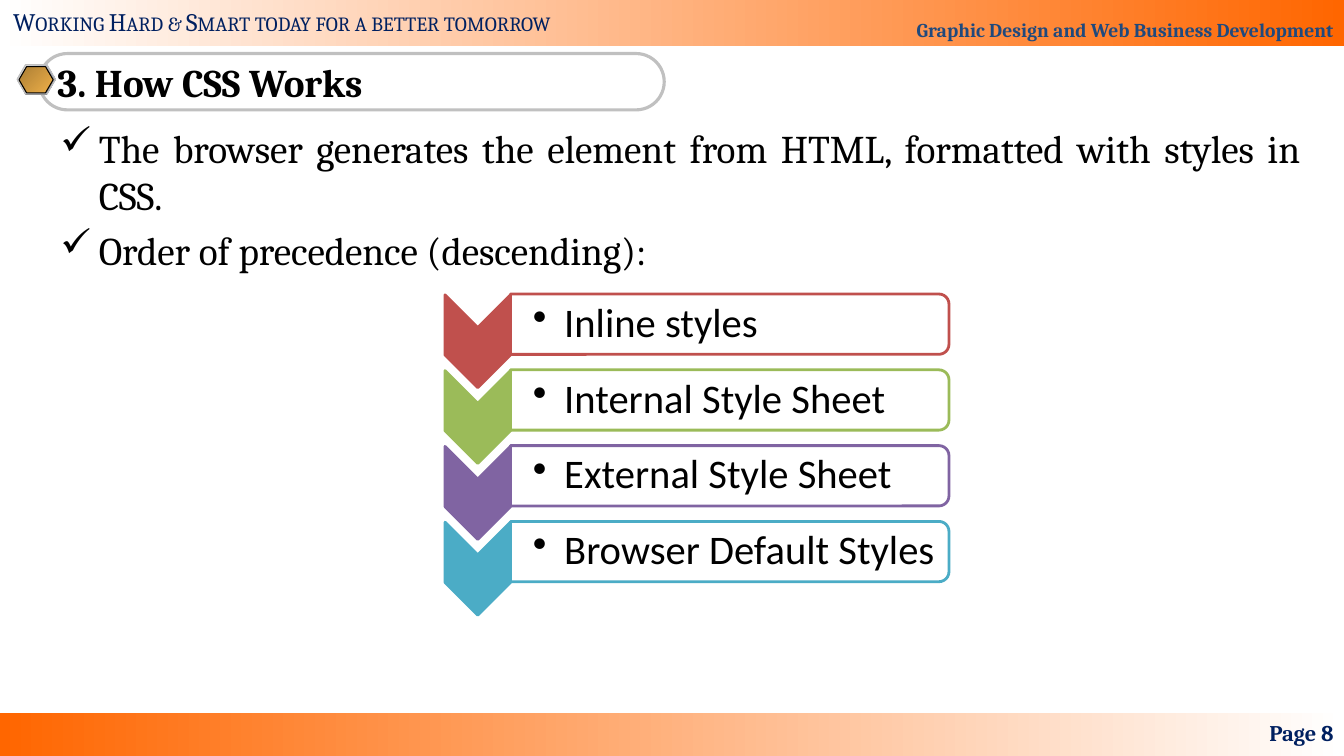
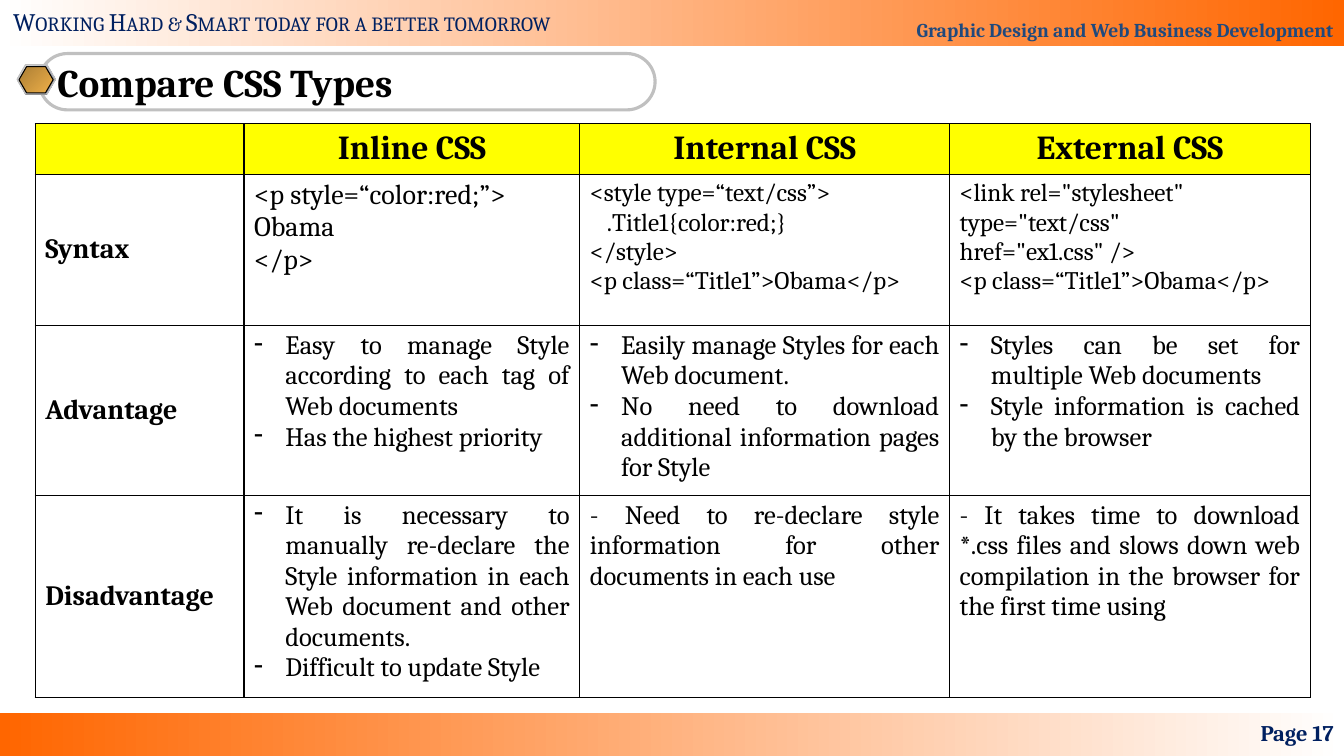
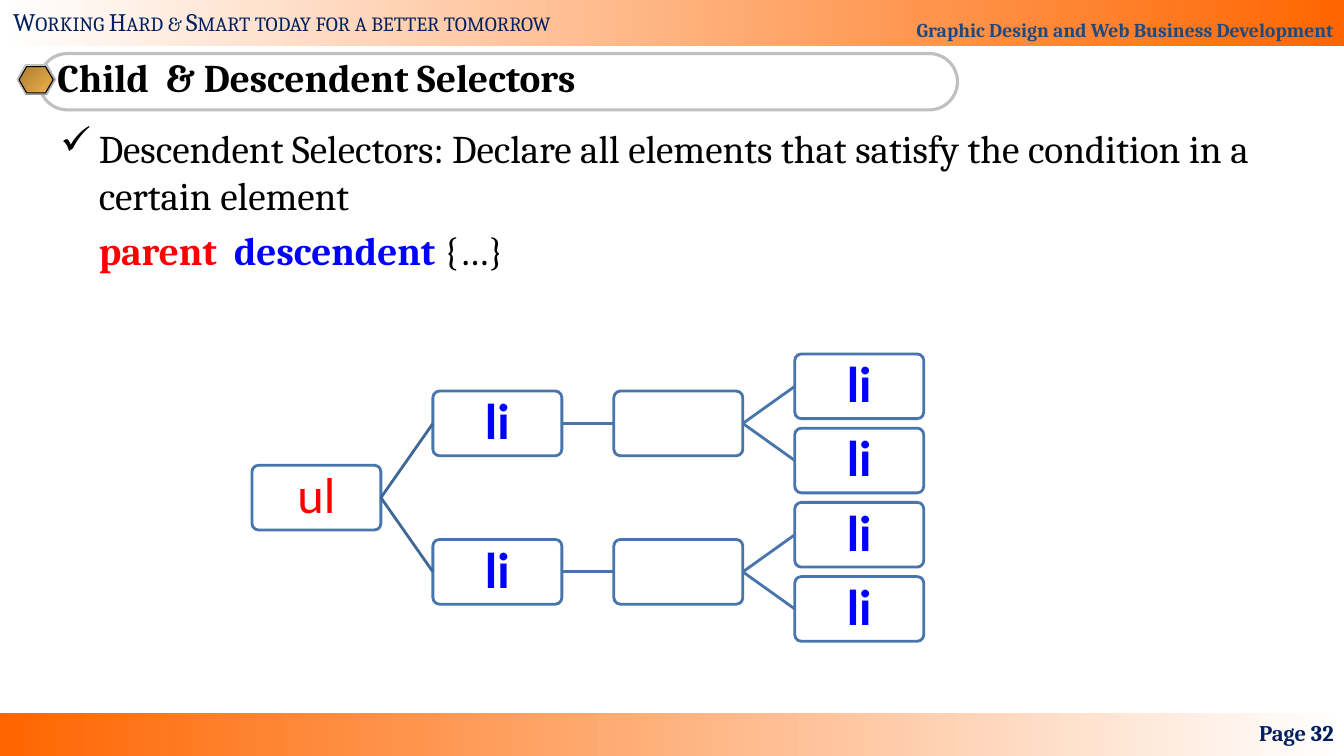
"""Build three slides about how CSS works, its types and its selectors."""
from lxml import etree
from pptx import Presentation, util as u
from pptx.dml.color import RGBColor
from pptx.enum import shapes, text
from pptx.oxml.ns import qn

WHITE = RGBColor(0xFF, 0xFF, 0xFF)
BLACK = RGBColor(0, 0, 0)
ORANGE = RGBColor(0xFF, 0x66, 0x00)
NAVY = RGBColor(0x00, 0x20, 0x60)
STEEL = RGBColor(0x1F, 0x49, 0x7D)
SILVER = RGBColor(0xC0, 0xC0, 0xC0)
PALE = RGBColor(0xE6, 0xE6, 0xE6)
SLATE = RGBColor(0x7D, 0x84, 0x96)
GRAY = RGBColor(0x80, 0x80, 0x80)
BRONZE = RGBColor(0xAB, 0x7E, 0x34)
GOLD = RGBColor(0xEF, 0xB0, 0x49)
YELLOW = RGBColor(0xFF, 0xFF, 0x00)
RED = RGBColor(0xFF, 0x00, 0x00)
BLUE = RGBColor(0x00, 0x00, 0xFF)
NODE_LINE = RGBColor(0x48, 0x75, 0xAC)
ROOT_LINE = RGBColor(0x3F, 0x67, 0x97)

SERIF, SANS = "Cambria", "Calibri"
SHAPE, ALIGN, ANCHOR = shapes.MSO_SHAPE, text.PP_ALIGN, text.MSO_ANCHOR
WIDTH, HEIGHT = 33.87, 19.05
BODY_HANG, CELL_HANG = 0.97, 0.79

COURSE = "Graphic Design and Web Business Development"
SLOGAN = "Working Hard & Smart today for a better tomorrow"

PRECEDENCE_INTRO = [
    "The browser generates the element from HTML, formatted with styles in CSS.",
    "Order of precedence (descending):",
]
PRECEDENCE = [
    ("Inline styles", RGBColor(0xC0, 0x50, 0x4D)),
    ("Internal Style Sheet", RGBColor(0x9B, 0xBB, 0x59)),
    ("External Style Sheet", RGBColor(0x80, 0x64, 0xA2)),
    ("Browser Default Styles", RGBColor(0x4B, 0xAC, 0xC6)),
]

COLUMN_WIDTHS = [5.26, 8.46, 9.32, 9.09]
ROW_HEIGHTS = [1.26, 3.81, 4.28, 5.1]
TYPES = ["Inline CSS", "Internal CSS", "External CSS"]
COMPARISON = [
    ("Syntax", ALIGN.LEFT, [
        (20, "", ["<p style=“color:red;”>", "Obama", "</p>"]),
        (18, "", ["<style type=“text/css”>", ".Title1{color:red;}", "</style>",
                  "<p class=“Title1”>Obama</p>"]),
        (18, "", ['<link rel="stylesheet" type="text/css" href="ex1.css" />',
                  "<p class=“Title1”>Obama</p>"]),
    ]),
    ("Advantage", ALIGN.JUSTIFY, [
        (19, "-", ["Easy to manage Style according to each tag of Web documents",
                   "Has the highest priority"]),
        (19, "-", ["Easily manage Styles for each Web document.",
                   "No need to download additional information pages for Style"]),
        (19, "-", ["Styles can be set for multiple Web documents",
                   "Style information is cached by the browser"]),
    ]),
    ("Disadvantage", ALIGN.JUSTIFY, [
        (19, "-", ["It is necessary to manually re-declare the Style information "
                   "in each Web document and other documents.",
                   "Difficult to update Style"]),
        (19, "", ["- Need to re-declare style information for other documents in each use"]),
        (19, "", ["- It takes time to download *.css files and slows down web "
                  "compilation in the browser for the first time using"]),
    ]),
]

SELECTOR_INTRO = ("Descendent Selectors: Declare all elements that satisfy "
                  "the condition in a certain element")
SELECTOR_RULE = [("parent  ", RED, True), ("descendent ", BLUE, True), ("{…}", BLACK, False)]
BRANCH = ("li", [("", [("li", []), ("li", [])])])
TREE = ("ul", [BRANCH, BRANCH])


def style(span, size, color=BLACK, bold=False, font=SERIF):
    span.font.name, span.font.size = font, u.Pt(size)
    span.font.color.rgb, span.font.bold = color, bold


def indent(para, margin, first=0.0):
    properties = para._p.get_or_add_pPr()
    properties.set("marL", str(u.Cm(margin)))
    properties.set("indent", str(u.Cm(first)))


def write(frame, lines, size, color=BLACK, bold=False, font=SERIF,
          align=ALIGN.LEFT, bullet="", hang=CELL_HANG, before=0):
    for index, line in enumerate(lines):
        para = frame.add_paragraph() if index else frame.paragraphs[0]
        para.text, para.alignment = line, align
        para.space_before = u.Pt(before)
        for span in para.runs:
            style(span, size, color, bold, font)
        if bullet:
            indent(para, hang, -hang)
            mark = etree.SubElement(para._p.get_or_add_pPr(), qn("a:buChar"))
            mark.set("char", bullet)


def add_box(page, left, top, width, height, anchor=ANCHOR.TOP):
    box = page.shapes.add_textbox(u.Cm(left), u.Cm(top), u.Cm(width), u.Cm(height))
    box.text_frame.word_wrap = True
    box.text_frame.vertical_anchor = anchor
    return box


def add_block(page, kind, left, top, width, height, fill=None, line=None, weight=2.0, angle=0):
    """Draw a preset shape; a list of two colours as fill makes a gradient."""
    block = page.shapes.add_shape(kind, u.Cm(left), u.Cm(top), u.Cm(width), u.Cm(height))
    block.shadow.inherit = False
    if fill is None:
        block.fill.background()
    elif isinstance(fill, list):
        block.fill.gradient()
        block.fill.gradient_angle = angle
        for stop, color in zip(block.fill.gradient_stops, fill):
            stop.color.rgb = color
    else:
        block.fill.solid()
        block.fill.fore_color.rgb = fill
    if line is None:
        block.line.fill.background()
    else:
        block.line.color.rgb, block.line.width = line, u.Pt(weight)
    return block


def add_turned(page, kind, center_x, center_y, width, height, fill, line):
    block = add_block(page, kind, center_x - width / 2, center_y - height / 2,
                      width, height, fill, line)
    block.rotation = 90
    return block


def add_page(deck, title, number, pill_width, title_spacing=1.0):
    page = deck.slides.add_slide(deck.slide_layouts[6])
    add_block(page, SHAPE.RECTANGLE, 0, 17.96, WIDTH, 1.09, [ORANGE, WHITE])
    header = add_block(page, SHAPE.RECTANGLE, 0, 0, WIDTH, 1.17, [WHITE, ORANGE])
    header.text_frame.vertical_anchor = ANCHOR.BOTTOM
    write(header.text_frame, [COURSE], 14, STEEL, True, align=ALIGN.RIGHT)

    slogan = add_box(page, 0.08, 0.03, 15, 1.02)
    write(slogan.text_frame, [SLOGAN], 18, NAVY)
    slogan.text_frame.paragraphs[0].runs[0]._r.get_or_add_rPr().set("cap", "small")

    pill = add_block(page, SHAPE.ROUNDED_RECTANGLE, 0.99, 1.35, pill_width, 1.42,
                     line=SILVER, weight=2.25)
    pill.adjustments[0] = 0.5
    pill.text_frame.vertical_anchor = ANCHOR.MIDDLE
    write(pill.text_frame, [title], 28, bold=True)
    pill.text_frame.paragraphs[0].line_spacing = title_spacing

    for left, top, width, height, fill, line in [
        (0.43, 1.65, 0.97, 0.74, GRAY, None),
        (0.43, 1.63, 0.97, 0.74, [PALE, SLATE], SILVER),
        (0.48, 1.68, 0.86, 0.66, [BRONZE, GOLD], BLACK),
    ]:
        gem = add_block(page, SHAPE.HEXAGON, left, top, width, height, fill, line, 0.75, 315)
        gem.adjustments[0] = 0.29

    footer = add_box(page, 25.96, 17.96, 7.9, 1.02, ANCHOR.MIDDLE)
    write(footer.text_frame, [f"Page {number}"], 16, NAVY, True, align=ALIGN.RIGHT)
    return page


def add_body(page, lines, align):
    body = add_box(page, 1.27, 3, 31.75, 14.58)
    write(body.text_frame, lines, 28, align=align, bullet="✓", hang=BODY_HANG, before=5.6)
    return body.text_frame


def build_precedence(deck):
    page = add_page(deck, "3. How CSS Works", 8, 15.75)
    add_body(page, PRECEDENCE_INTRO, ALIGN.JUSTIFY)
    for index, (label, color) in enumerate(PRECEDENCE):
        middle = 8.17 + 1.91 * index
        add_turned(page, SHAPE.CHEVRON, 12.04, middle + 0.43, 2.34, 1.65, color, color)
        add_turned(page, SHAPE.ROUND_2_SAME_RECTANGLE, 18.39, middle, 1.52, 11.05, WHITE, color)
        box = add_box(page, 12.85, middle - 0.69, 10.97, 1.38, ANCHOR.MIDDLE)
        frame = box.text_frame
        frame.margin_left = u.Cm(0.58)
        frame.margin_right = frame.margin_top = frame.margin_bottom = u.Cm(0.05)
        write(frame, [label], 29, font=SANS, bullet="•")
        frame.paragraphs[0].line_spacing = 0.9


def outline_cell(cell):
    properties = cell._tc.get_or_add_tcPr()
    for side in ("a:lnL", "a:lnR", "a:lnT", "a:lnB"):
        border = etree.SubElement(properties, qn(side), w=str(u.Pt(1)))
        paint = etree.SubElement(border, qn("a:solidFill"))
        etree.SubElement(paint, qn("a:srgbClr"), val=str(BLACK))


def build_comparison(deck):
    page = add_page(deck, "Compare CSS Types", 17, 15.52)
    table = page.shapes.add_table(
        len(ROW_HEIGHTS), len(COLUMN_WIDTHS), u.Cm(0.89), u.Cm(3.12),
        u.Cm(sum(COLUMN_WIDTHS)), u.Cm(sum(ROW_HEIGHTS))).table
    table.first_row = table.horz_banding = False
    for column, width in zip(table.columns, COLUMN_WIDTHS):
        column.width = u.Cm(width)
    for row_index, (row, height) in enumerate(zip(table.rows, ROW_HEIGHTS)):
        row.height = u.Cm(height)
        for cell in row.cells:
            outline_cell(cell)
            cell.fill.solid()
            cell.fill.fore_color.rgb = WHITE if row_index else YELLOW

    for column_index, name in enumerate(TYPES, 1):
        write(table.cell(0, column_index).text_frame, [name], 24, bold=True, align=ALIGN.CENTER)
    for row_index, (aspect, align, entries) in enumerate(COMPARISON, 1):
        heading = table.cell(row_index, 0)
        heading.vertical_anchor = ANCHOR.MIDDLE
        write(heading.text_frame, [aspect], 20, bold=True)
        for column_index, (size, bullet, lines) in enumerate(entries, 1):
            write(table.cell(row_index, column_index).text_frame, lines, size,
                  align=align, bullet=bullet)
    indent(table.cell(1, 2).text_frame.paragraphs[1], 0.43)


def add_link(page, parent, child, color):
    link = page.shapes.add_connector(shapes.MSO_CONNECTOR.STRAIGHT, 0, 0, 0, 0)
    link.begin_connect(parent, 3)
    link.end_connect(child, 1)
    link.line.color.rgb, link.line.width = color, u.Pt(2)
    etree.SubElement(link._element.spPr, qn("a:effectLst"))


def add_node(page, node, level=0, first_leaf=0):
    """Draw a subtree and return its root shape, row and number of leaves."""
    label, children = node
    branches, leaves = [], 0
    for child in children:
        shape, row, count = add_node(page, child, level + 1, first_leaf + leaves)
        branches.append((shape, row))
        leaves += count
    row = sum(row for _, row in branches) / len(branches) if branches else first_leaf

    box = add_block(page, SHAPE.ROUNDED_RECTANGLE, 6.35 + 4.56 * level, 8.92 + 1.87 * row,
                    3.25, 1.63, WHITE, NODE_LINE)
    box.adjustments[0] = 0.1
    if label:
        frame = box.text_frame
        frame.vertical_anchor = ANCHOR.MIDDLE
        frame.margin_left = frame.margin_right = u.Cm(0.08)
        frame.margin_top = frame.margin_bottom = u.Cm(0.08)
        write(frame, [label], 36, BLUE if level else RED, bool(level), SANS, ALIGN.CENTER)
        frame.paragraphs[0].line_spacing = 0.9
    for shape, _ in branches:
        add_link(page, box, shape, NODE_LINE if level else ROOT_LINE)
    return box, row, max(leaves, 1)


def build_selectors(deck):
    page = add_page(deck, "Child  & Descendent Selectors", 32, 23.14, 0.8)
    frame = add_body(page, [SELECTOR_INTRO], ALIGN.LEFT)
    para = frame.add_paragraph()
    para.space_before = u.Pt(5.6)
    indent(para, BODY_HANG)
    for words, color, bold in SELECTOR_RULE:
        span = para.add_run()
        span.text = words
        style(span, 28, color, bold)
    add_node(page, TREE)


def main():
    deck = Presentation()
    deck.slide_width, deck.slide_height = u.Cm(WIDTH), u.Cm(HEIGHT)
    build_precedence(deck)
    build_comparison(deck)
    build_selectors(deck)
    deck.save("out.pptx")


if __name__ == "__main__":
    main()
